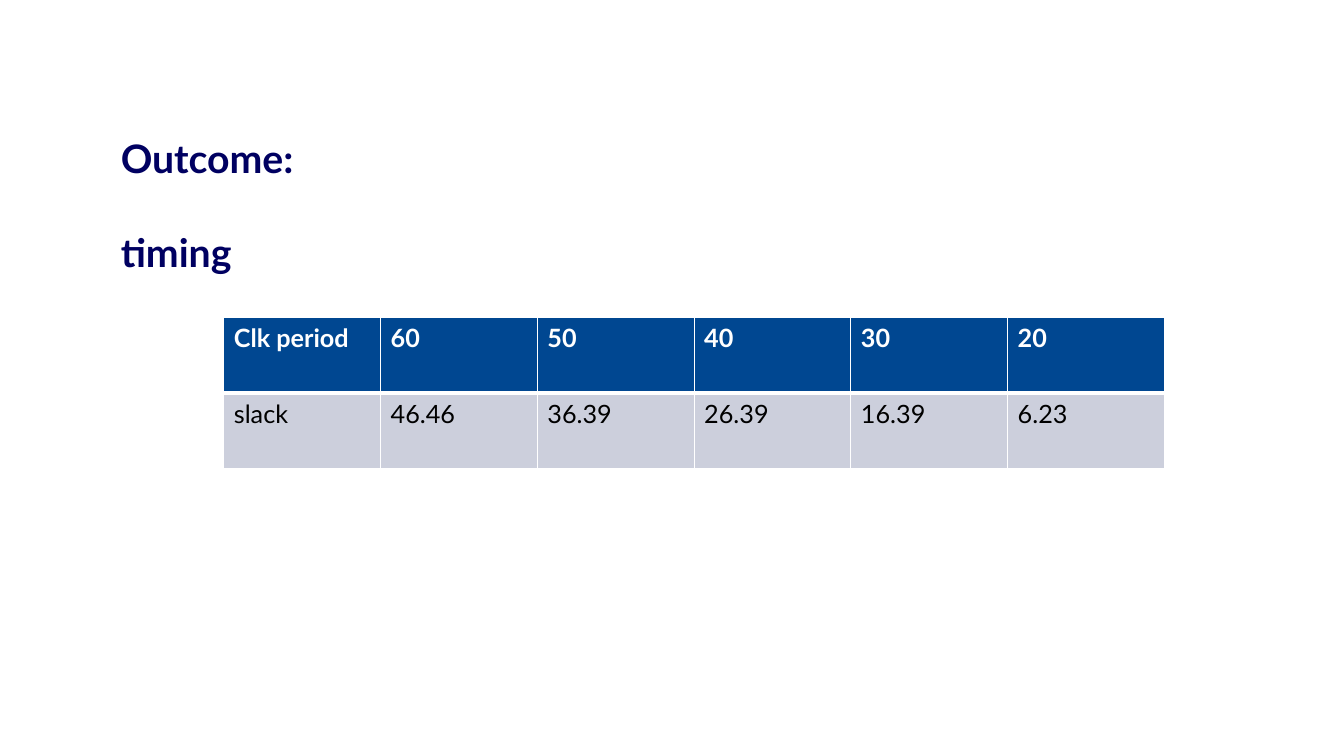
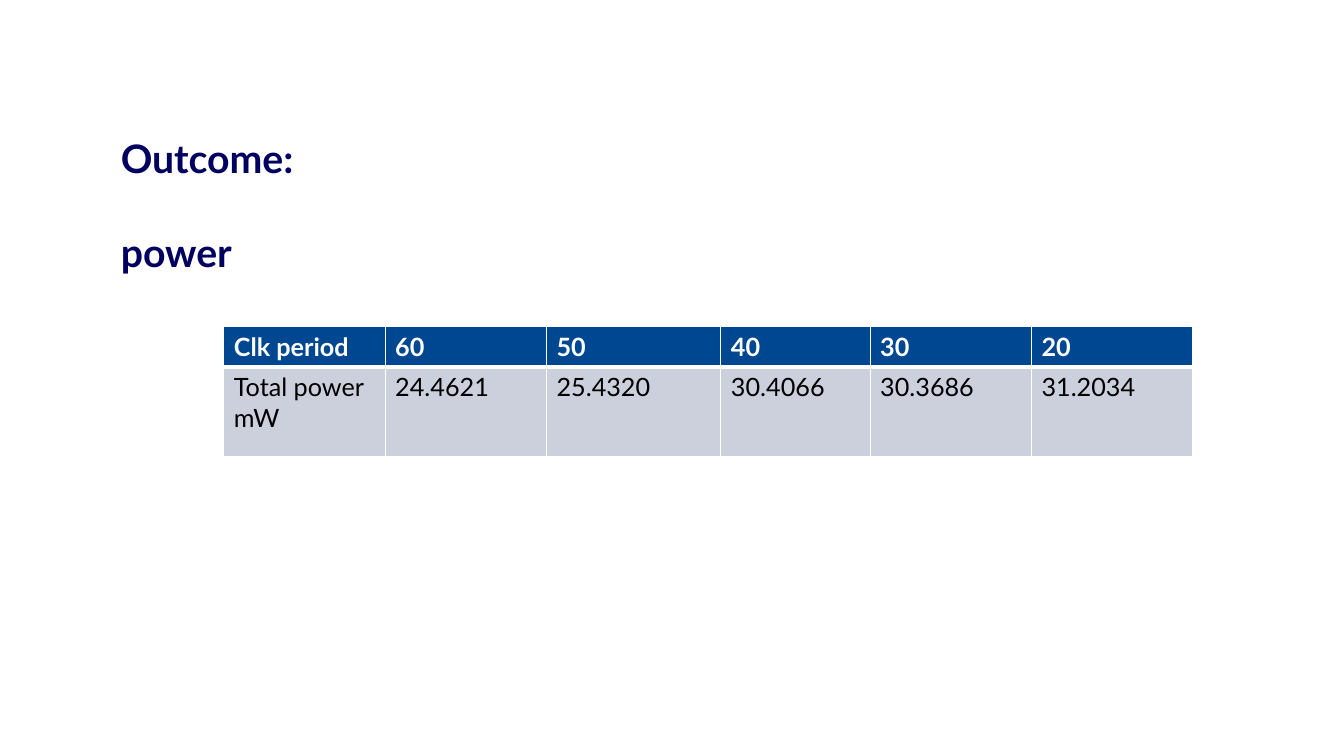
from dataclasses import dataclass

from lxml import etree
from pptx import Presentation
from pptx.dml.color import RGBColor
from pptx.enum.text import MSO_ANCHOR
from pptx.oxml.ns import qn
from pptx.util import Emu, Pt

TOP = MSO_ANCHOR.TOP
SCALE = 9144
BLANK = 6


@dataclass(frozen=True)
class Theme:
    """Colours, font and type sizes shared by the slides."""
    font: str = "Lato"
    navy: str = "000061"
    blue: str = "004791"
    pale: str = "CCCFDC"
    white: str = "FFFFFF"
    black: str = "000000"
    head: int = 28
    body: int = 18
    thin: int = 1
    thick: int = 3


THEME = Theme()


def px(size):
    """Turn px into EMU."""
    return Emu(round(size * SCALE))


def style(para, size, color, bold):
    """Set the font of a paragraph."""
    font = para.font
    font.name, font.size, font.bold = THEME.font, Pt(size), bold
    font.color.rgb = RGBColor.from_string(color)


def add_head(slide, text, top):
    """Add one bold heading line."""
    box = slide.shapes.add_textbox(px(110), px(top), px(390), px(62))
    frame = box.text_frame
    frame.word_wrap = True
    frame.vertical_anchor = TOP
    frame.margin_left = frame.margin_right = px(10)
    frame.margin_top, frame.margin_bottom = px(12), px(5)
    para = frame.paragraphs[0]
    para.text = text
    para.line_spacing = 0.8
    style(para, THEME.head, THEME.navy, True)


def add_edge(cell, side, width):
    """Draw one white cell border."""
    props = cell._tc.get_or_add_tcPr()
    line = etree.SubElement(props, qn(f"a:ln{side}"), w=str(Pt(width)))
    fill = etree.SubElement(line, qn("a:solidFill"))
    etree.SubElement(fill, qn("a:srgbClr"), val=THEME.white)


def fill_cell(cell, text, first):
    """Write and colour a cell of the header or body row."""
    rule = "B" if first else "T"
    for side in "LRTB":
        add_edge(cell, side, THEME.thick if side == rule else THEME.thin)
    cell.fill.solid()
    cell.fill.fore_color.rgb = RGBColor.from_string(THEME.blue if first else THEME.pale)
    cell.text = text
    for para in cell.text_frame.paragraphs:
        style(para, THEME.body, THEME.white if first else THEME.black, first)


def add_grid(slide, data, top, width, parts, highs):
    """Add a table whose columns share the width by parts."""
    frame = slide.shapes.add_table(len(data), len(parts), px(222), px(top), px(width), px(sum(highs)))
    grid = frame.table
    for col, part in zip(grid.columns, parts):
        col.width = px(width * part / sum(parts))
    for row, high in zip(grid.rows, highs):
        row.height = px(high)
    for r, line in enumerate(data):
        for c, text in enumerate(line):
            fill_cell(grid.cell(r, c), text, r == 0)


def add_page(deck, topic, values, top, width, parts, highs):
    """Add a slide with its two headings and result table."""
    slide = deck.slides.add_slide(deck.slide_layouts[BLANK])
    add_head(slide, "Outcome:", 130)
    clock = ["Clk period", "60", "50", "40", "30", "20"]
    add_grid(slide, [clock, values], top, width, parts, highs)
    add_head(slide, topic, 223)


def main():
    """Build and save the deck."""
    deck = Presentation()
    deck.slide_width, deck.slide_height = px(1333), px(750)
    slack = ["slack", "46.46", "36.39", "26.39", "16.39", "6.23"]
    add_page(deck, "timing", slack, 315, 933, [1] * 6, [75, 75])
    power = ["Total power\nmW", "24.4621", "25.4320", "30.4066", "30.3686", "31.2034"]
    add_page(deck, "power", power, 324, 961, [160, 160, 173, 148, 160, 160], [40, 89])
    deck.save("out.pptx")


if __name__ == "__main__":
    main()
